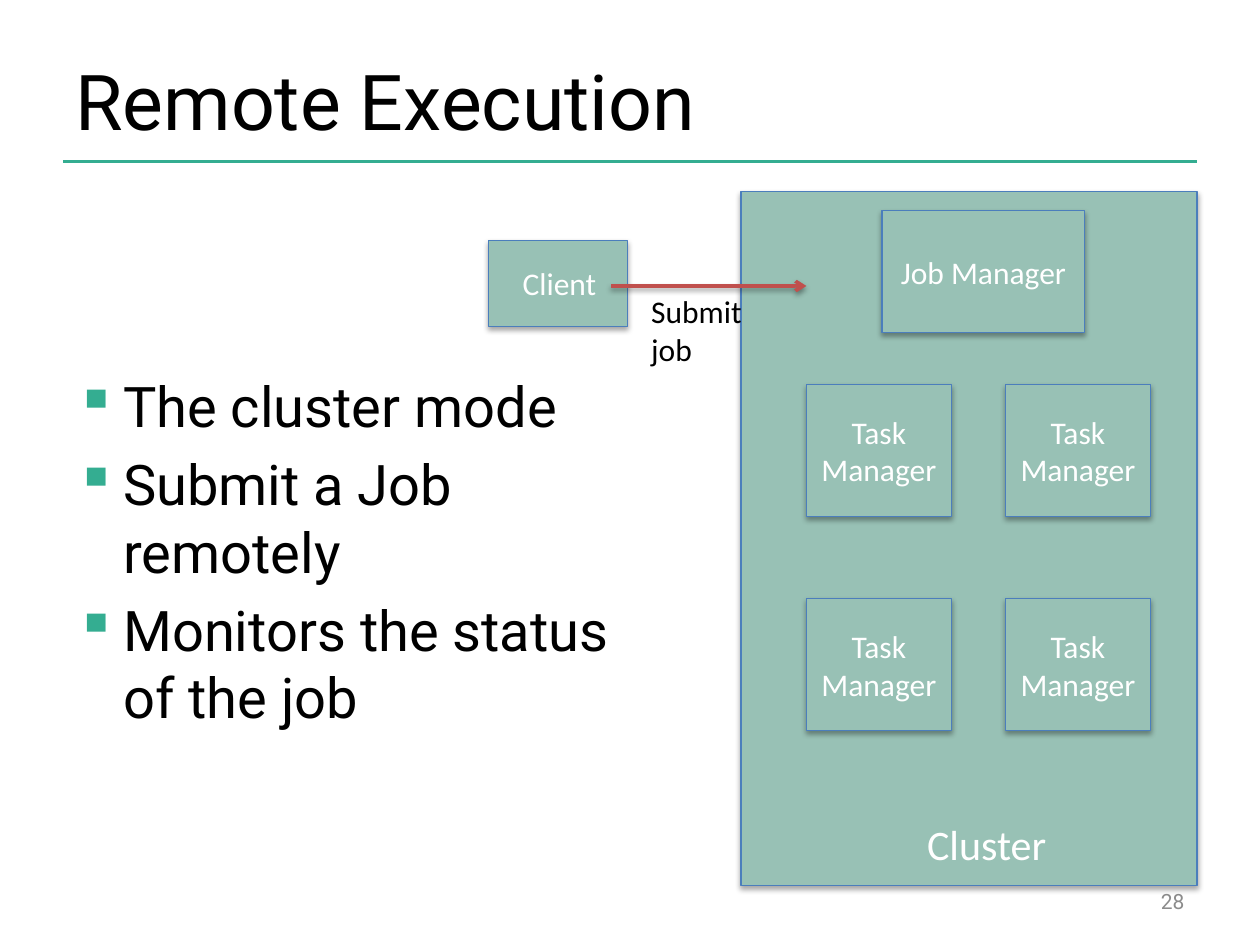
import pptx
import pptx.dml.color
import pptx.enum.shapes
import pptx.enum.text
import pptx.oxml
import pptx.util
from lxml import etree
from pptx.oxml.ns import qn

# Content
TITLE = "Remote Execution"
BULLETS = ["The cluster mode", "Submit a Job remotely", "Monitors the status of the job"]
NUMBER = "28"
TASK, TASK_ROWS, TASK_COLS = "Task Manager", 2, 2

# Style
TEAL, SAGE, BLUE, RED = "34AD91", "98C1B5", "4B7EBC", "C0504D"
BLACK, WHITE, GREY = "000000", "FFFFFF", "8C8C8C"
HEAD, BODY = "Roboto", "Calibri"
ALIGN = pptx.enum.text.PP_ALIGN
ANCHOR = pptx.enum.text.MSO_ANCHOR

# Layout in inches
W, H, MARGIN = 10, 7.5, 0.5
CLUSTER = (5.88, 1.52, W - MARGIN - 5.88, 5.51)
TASK_LEFT, TASK_TOP, TASK_W, TASK_H = 6.4, 3.05, 1.15, 1.05
TASK_DX, TASK_DY = 1.58, 1.7
ARROW_Y = 2.27

prs = pptx.Presentation()
prs.slide_width, prs.slide_height = pptx.util.Inches(W), pptx.util.Inches(H)
shapes = prs.slides.add_slide(prs.slide_layouts[6]).shapes


def inches(values):
    return [pptx.util.Inches(v) for v in values]


def rgb(color):
    return pptx.dml.color.RGBColor.from_string(color)


def set_effects(s, alpha=0, dist=0):
    """Give a shape a soft downward shadow, or none when alpha is 0."""
    sp_pr = s._element.spPr
    effects = etree.SubElement(sp_pr, qn("a:effectLst"))
    if alpha:
        shadow = etree.SubElement(
            effects, qn("a:outerShdw"), blurRad=str(pptx.util.Pt(3.1)),
            dist=str(pptx.util.Pt(dist)), dir="5400000", rotWithShape="0")
        color = etree.SubElement(shadow, qn("a:srgbClr"), val=BLACK)
        etree.SubElement(color, qn("a:alpha"), val=str(alpha * 1000))


def write(s, lines, size, font, color, align=ALIGN.LEFT, anchor=ANCHOR.TOP,
          wrap=True, bullet=None):
    tf = s.text_frame
    tf.word_wrap, tf.vertical_anchor = wrap, anchor
    for i, line in enumerate(lines):
        p = tf.paragraphs[0] if i == 0 else tf.add_paragraph()
        p.text, p.alignment = line, align
        if bullet:
            p_pr = p._p.get_or_add_pPr()
            indent = pptx.util.Inches(0.38)
            p_pr.set("marL", str(indent))
            p_pr.set("indent", str(-indent))
            color_tag = etree.SubElement(p_pr, qn("a:buClr"))
            etree.SubElement(color_tag, qn("a:srgbClr"), val=TEAL)
            etree.SubElement(p_pr, qn("a:buChar"), char=bullet)
            if i:
                p.space_before = pptx.util.Pt(size * 0.2)
        p.font.size, p.font.name = pptx.util.Pt(size), font
        p.font.color.rgb = rgb(color)


def add_text(box, lines, size, font, color, **options):
    write(shapes.add_textbox(*inches(box)), lines, size, font, color, **options)


def add_box(box, label=None):
    s = shapes.add_shape(pptx.enum.shapes.MSO_SHAPE.RECTANGLE, *inches(box))
    s.fill.solid()
    s.fill.fore_color.rgb = rgb(SAGE)
    s.line.color.rgb, s.line.width = rgb(BLUE), pptx.util.Pt(0.75)
    set_effects(s, alpha=35, dist=1.8)
    if label:
        write(s, [label], 18, BODY, WHITE, ALIGN.CENTER, ANCHOR.MIDDLE)


def add_line(x1, x2, y, color):
    s = shapes.add_connector(pptx.enum.shapes.MSO_CONNECTOR.STRAIGHT, *inches((x1, y, x2, y)))
    s.line.color.rgb, s.line.width = rgb(color), pptx.util.Pt(2)
    return s


# Title, rule, bullets and slide number
set_effects(add_line(MARGIN, W - MARGIN, 1.28, TEAL))
add_text((MARGIN, 0.3, 8.17, 0.98), [TITLE], 44, HEAD, BLACK, anchor=ANCHOR.MIDDLE)
add_text((MARGIN, 2.9, 4.53, 3.8), BULLETS, 32, HEAD, BLACK, bullet="▪")
add_text((7.17, 6.95, 2.33, 0.4), [NUMBER], 12, HEAD, GREY,
         align=ALIGN.RIGHT, anchor=ANCHOR.MIDDLE)

# Client
add_box((3.88, 1.91, 1.1, 0.68))
add_text((4.05, 2.05, 0.8, 0.4), ["Client"], 18, BODY, WHITE, wrap=False)

# Cluster with its job manager and grid of task managers
add_box(CLUSTER)
add_box((7, 1.67, 1.61, 0.97), "Job Manager")
add_text((7.26, 6.45, 1.16, 0.5), ["Cluster"], 24, BODY, WHITE, wrap=False)
for row in range(TASK_ROWS):
    for col in range(TASK_COLS):
        add_box((TASK_LEFT + col * TASK_DX, TASK_TOP + row * TASK_DY, TASK_W, TASK_H), TASK)

# Submit arrow
arrow = add_line(4.85, TASK_LEFT, ARROW_Y, RED)
etree.SubElement(arrow.line._get_or_add_ln(), qn("a:tailEnd"), type="arrow")
set_effects(arrow, alpha=38, dist=1.6)
add_text((5.07, ARROW_Y, 1.1, 0.4), ["Submit job"], 18, BODY, BLACK)

prs.save("out.pptx")
